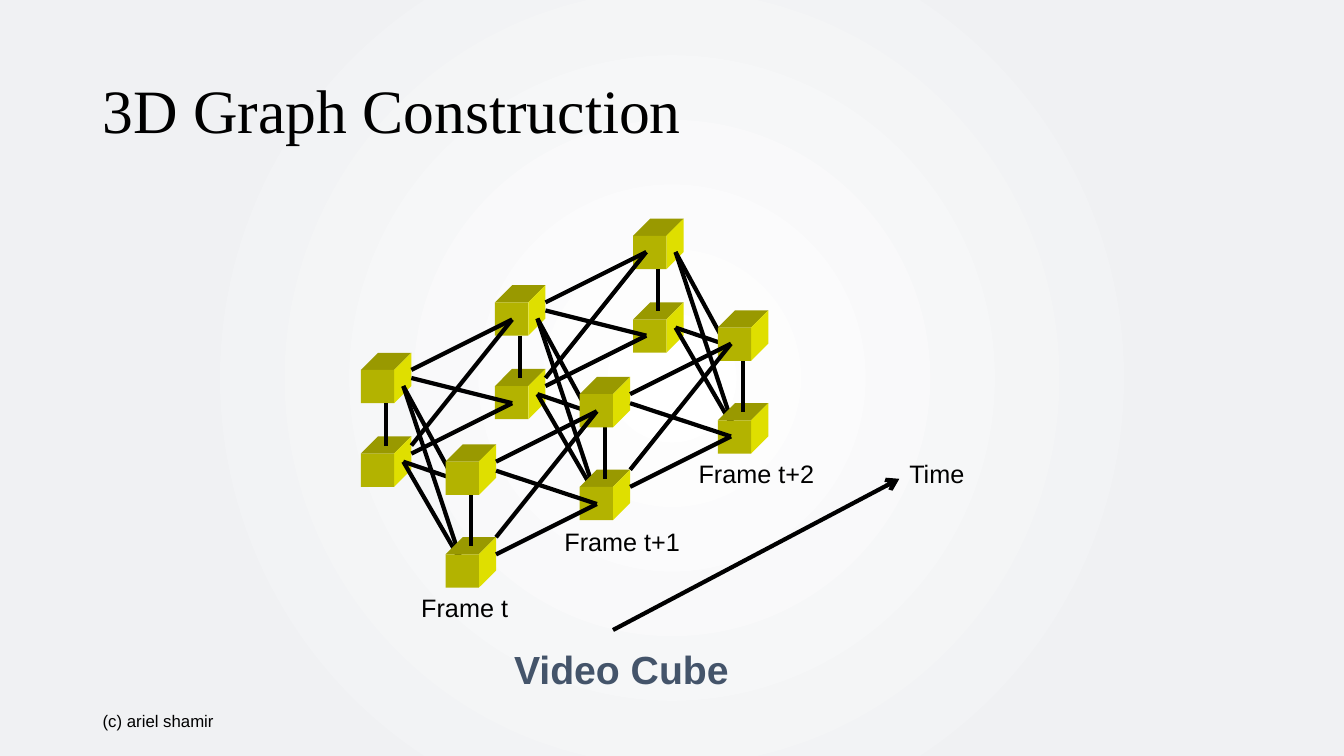
from dataclasses import dataclass
from typing import NamedTuple

from lxml.etree import SubElement
from pptx import Presentation
from pptx.dml.color import RGBColor
from pptx.enum.shapes import MSO_CONNECTOR, MSO_SHAPE
from pptx.enum.text import MSO_ANCHOR
from pptx.oxml.ns import qn
from pptx.shapes.autoshape import Shape
from pptx.shapes.connector import Connector
from pptx.slide import Slide
from pptx.util import Inches, Pt


@dataclass(frozen=True)
class Theme:
    ink: RGBColor = RGBColor(0x00, 0x00, 0x00)
    accent: RGBColor = RGBColor(0x44, 0x54, 0x6A)
    glow: RGBColor = RGBColor(0xFF, 0xFF, 0xFF)
    edge: RGBColor = RGBColor(0xF0, 0xF1, 0xF3)
    cube_front: RGBColor = RGBColor(0xB3, 0xB3, 0x00)
    cube_top: RGBColor = RGBColor(0x99, 0x99, 0x00)
    cube_side: RGBColor = RGBColor(0xDF, 0xDF, 0x00)
    heading_font: str = "Times New Roman"
    body_font: str = "Arial"
    title: int = 44
    caption: int = 28
    label: int = 18
    footer: int = 12
    stroke: int = 3


class Point(NamedTuple):
    x: float
    y: float

    def shifted(self, by: "Point") -> "Point":
        return Point(self.x + by.x, self.y + by.y)


class Edge(NamedTuple):
    start: Point
    end: Point


@dataclass(frozen=True)
class Label:
    text: str
    left: float
    top: float
    width: float
    height: float
    size: int
    font: str
    color: RGBColor
    bold: bool = False
    wrap: bool = False
    anchor: MSO_ANCHOR = MSO_ANCHOR.TOP
    spacing: float = 1.0


THEME = Theme()
CUBE, DEPTH = 0.33, 0.17

FRAME_OFFSETS = [Point(0, 0), Point(1.33, -0.67), Point(2.7, -1.33)]
LINK_OFFSETS = FRAME_OFFSETS[:2]

# Nodes and edges of frame t; later frames shift them
BACK_CUBES = [Point(3.58, 3.67), Point(3.58, 4.5)]
LOWER_FRONT_CUBE = Point(4.42, 5.5)
UPPER_FRONT_CUBE = Point(4.42, 4.58)
SIDE_EDGES = [Edge(Point(4, y), end) for y in (3.83, 4.58)
              for end in (Point(4.5, 4.75), Point(4.58, 5.58))]
UPRIGHT_EDGES = [Edge(Point(3.83, 4), Point(3.83, 4.42)),
                 Edge(Point(4.67, 4.75), Point(4.67, 5.42))]

# Edges from frame t to frame t+1
PARALLEL_LINKS = [Edge(Point(x, y), Point(x - 1, y + 0.5))
                  for x, y in ((5.92, 4.08), (5.92, 5), (5.08, 3.17), (5.08, 4))]
RISING_LINKS = [Edge(Point(5.92, 4.08), Point(4.92, 5.33)),
                Edge(Point(5.08, 3.17), Point(4.08, 4.42))]
FALLING_LINKS = [Edge(Point(4.92, 4.67), Point(5.92, 5)),
                 Edge(Point(4.08, 3.75), Point(5.08, 4))]

FOOTER = Label("(c) ariel shamir", 0.92, 6.95, 3, 0.4, THEME.footer, THEME.body_font,
               THEME.ink, wrap=True, anchor=MSO_ANCHOR.MIDDLE)
TITLE = Label("3D Graph Construction", 0.92, 0.4, 11.5, 1.45, THEME.title,
              THEME.heading_font, THEME.ink, wrap=True, anchor=MSO_ANCHOR.MIDDLE,
              spacing=0.9)
DIAGRAM_LABELS = [
    Label(text, left, top, width, 0.4, THEME.label, THEME.body_font, THEME.ink)
    for text, left, top, width in (
        ("Frame t", 4.08, 5.83, 1.06),
        ("Frame t+1", 5.5, 5.17, 1.35),
        ("Frame t+2", 6.83, 4.5, 1.35),
        ("Time", 8.92, 4.5, 0.76),
    )
]
CAPTION = Label("Video Cube", 5, 6.35, 2.34, 0.57, THEME.caption, THEME.body_font,
                THEME.accent, bold=True)
TIME_AXIS = Edge(Point(6.08, 6.25), Point(8.92, 4.75))


def paint_background(slide: Slide) -> None:
    """Fill the slide with a gradient that spreads in circles from its centre."""
    fill = slide.background.fill
    fill.gradient()
    for stop, color, position in zip(fill.gradient_stops, (THEME.glow, THEME.edge), (0, 0.67)):
        stop.color.rgb = color
        stop.position = position
    grad = slide.element.find(".//" + qn("a:gradFill"))
    grad.remove(grad.find(qn("a:lin")))
    circle = SubElement(grad, qn("a:path"), path="circle")
    SubElement(circle, qn("a:fillToRect"), l="50000", t="50000", r="50000", b="50000")


def add_label(slide: Slide, label: Label) -> None:
    box = slide.shapes.add_textbox(Inches(label.left), Inches(label.top),
                                   Inches(label.width), Inches(label.height))
    tf = box.text_frame
    tf.word_wrap = label.wrap
    tf.vertical_anchor = label.anchor
    p = tf.paragraphs[0]
    p.text = label.text
    p.line_spacing = label.spacing
    p.font.name = label.font
    p.font.size = Pt(label.size)
    p.font.bold = label.bold
    p.font.color.rgb = label.color


def add_edge(shapes, edge: Edge, offset: Point = Point(0, 0)) -> Connector:
    start, end = edge.start.shifted(offset), edge.end.shifted(offset)
    line = shapes.add_connector(MSO_CONNECTOR.STRAIGHT, Inches(start.x), Inches(start.y),
                                Inches(end.x), Inches(end.y))
    line.line.color.rgb = THEME.ink
    line.line.width = Pt(THEME.stroke)
    SubElement(line.element.spPr, qn("a:effectLst"))
    return line


def paint_face(sp: Shape, color: RGBColor) -> None:
    sp.shadow.inherit = False
    sp.fill.solid()
    sp.fill.fore_color.rgb = color
    sp.line.fill.background()


def add_cube(shapes, corner: Point, offset: Point) -> None:
    """Draw a cube whose front face has its top left at the shifted corner."""
    x, y = corner.shifted(offset)
    right, bottom = x + CUBE, y + CUBE
    top = [(x, y), (x + DEPTH, y - DEPTH), (right + DEPTH, y - DEPTH), (right, y)]
    side = [(right, y), (right + DEPTH, y - DEPTH), (right + DEPTH, bottom - DEPTH),
            (right, bottom)]
    for outline, color in ((top, THEME.cube_top), (side, THEME.cube_side)):
        points = [(Inches(px), Inches(py)) for px, py in outline]
        builder = shapes.build_freeform(*points[0])
        builder.add_line_segments(points[1:], close=True)
        paint_face(builder.convert_to_shape(), color)
    front = shapes.add_shape(MSO_SHAPE.RECTANGLE, Inches(x), Inches(y),
                             Inches(CUBE), Inches(CUBE))
    paint_face(front, THEME.cube_front)


def add_frame(slide: Slide, offset: Point) -> None:
    shapes = slide.shapes.add_group_shape().shapes
    for corner in BACK_CUBES:
        add_cube(shapes, corner, offset)
    for edge in SIDE_EDGES:
        add_edge(shapes, edge, offset)
    add_cube(shapes, LOWER_FRONT_CUBE, offset)
    for edge in UPRIGHT_EDGES:
        add_edge(shapes, edge, offset)
    add_cube(shapes, UPPER_FRONT_CUBE, offset)


def main() -> None:
    prs = Presentation()
    prs.slide_width, prs.slide_height = Inches(13.33), Inches(7.5)
    slide = prs.slides.add_slide(prs.slide_layouts[6])
    paint_background(slide)
    add_label(slide, FOOTER)
    add_label(slide, TITLE)
    for offset in FRAME_OFFSETS:
        add_frame(slide, offset)
    for links in (PARALLEL_LINKS, RISING_LINKS, FALLING_LINKS):
        shapes = slide.shapes.add_group_shape().shapes
        for offset in LINK_OFFSETS:
            for link in links:
                add_edge(shapes, link, offset)
    for label in DIAGRAM_LABELS:
        add_label(slide, label)
    axis = add_edge(slide.shapes, TIME_AXIS)
    SubElement(axis.element.spPr.find(qn("a:ln")), qn("a:tailEnd"), type="arrow")
    add_label(slide, CAPTION)
    prs.save("out.pptx")


if __name__ == "__main__":
    main()
